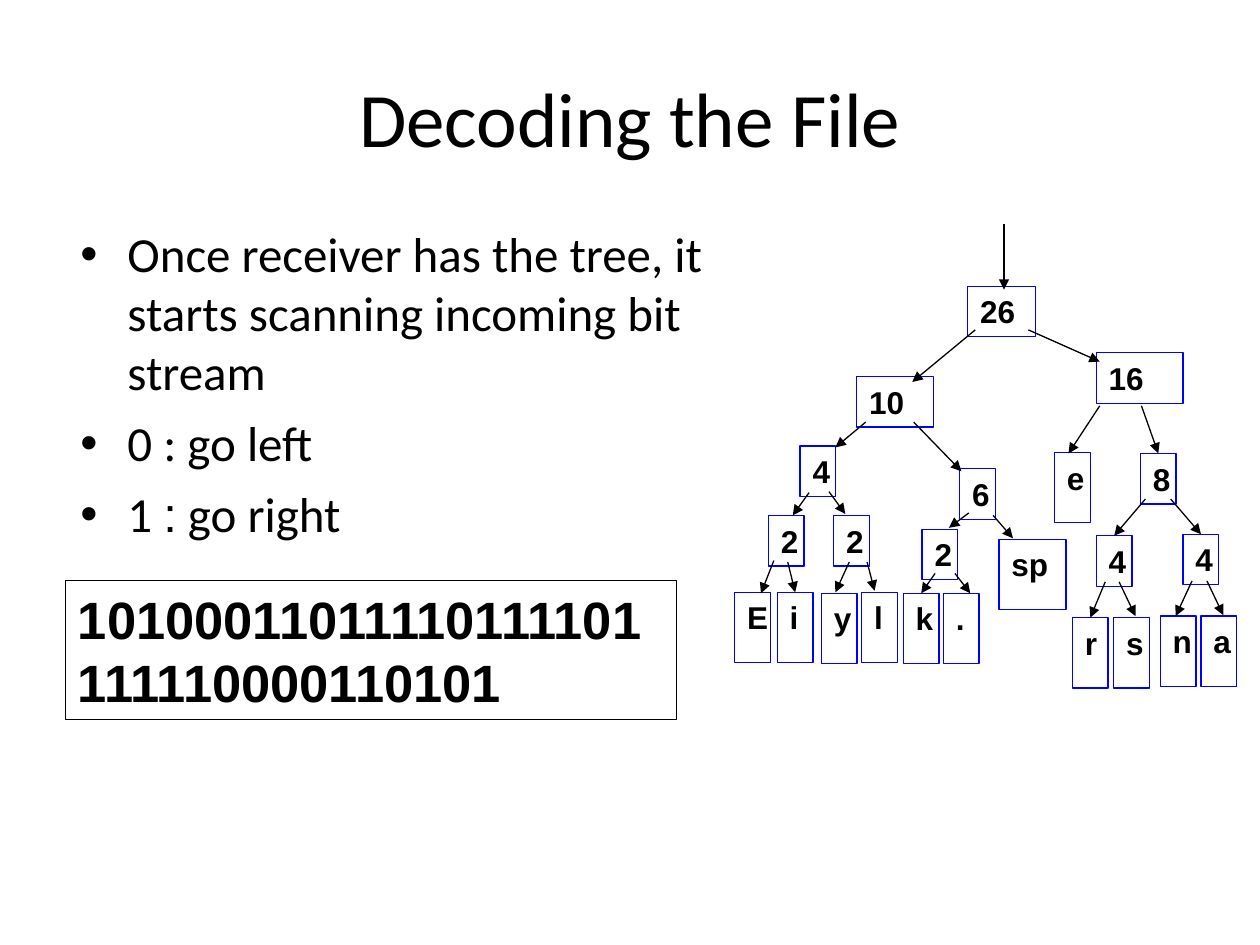
from lxml import etree
from pptx import Presentation
from pptx import util as u
from pptx.dml.color import RGBColor
from pptx.enum import shapes, text
from pptx.oxml.ns import qn

COLORS = {"ink": "000000", "node": "0000FF", "paper": "FFFFFF"}
NARROW = 0.72
INNER, LEAF = 1.02, 1.42

# label, left, top, width, height, arrow start, arrow end (None: middle of the top side)
TREE = [
    ("26", 19.51, 5.77, 1.37, INNER, (20.24, 4.52), (20.24, 5.84)),
    ("10", 17.27, 7.59, 1.55, INNER, (19.66, 6.65), (18.39, 7.7)),
    ("16", 22.1, 7.11, 1.75, INNER, (20.73, 6.65), (22.17, 7.29)),
    ("4", 16.13, 8.99, NARROW, INNER, (17.45, 8.51), (16.84, 9.02)),
    ("6", 19.35, 9.45, NARROW, INNER, (18.42, 8.51), (19.38, 9.5)),
    ("e", 21.26, 9.12, NARROW, LEAF, (22.17, 8.18), (21.54, 9.14)),
    ("8", 22.99, 9.14, NARROW, INNER, (23.01, 8.18), None),
    ("2", 15.49, 10.39, NARROW, INNER, (16.31, 9.93), (15.98, 10.39)),
    ("2", 16.81, 10.39, NARROW, INNER, (16.71, 9.91), (17.04, 10.36)),
    ("2", 18.59, 10.67, NARROW, INNER, (19.53, 10.34), (19.13, 10.64)),
    ("sp", 20.14, 10.87, 1.35, LEAF, (20.02, 10.39), (20.42, 10.85)),
    ("4", 22.1, 10.8, NARROW, INNER, (23.09, 10.06), None),
    ("4", 23.85, 10.77, NARROW, INNER, (23.6, 10.06), None),
    ("E", 14.81, 11.94, NARROW, LEAF, (15.6, 11.3), (15.34, 11.96)),
    ("i", 15.67, 11.94, NARROW, LEAF, (15.88, 11.33), None),
    ("y", 16.56, 11.96, NARROW, LEAF, (17.12, 11.33), (16.84, 11.94)),
    ("l", 17.37, 11.94, NARROW, LEAF, (17.48, 11.33), (17.63, 11.91)),
    ("k", 18.21, 11.96, NARROW, LEAF, (18.85, 11.56), None),
    (".", 19.02, 11.96, NARROW, LEAF, (19.25, 11.56), (19.56, 11.96)),
    ("r", 21.62, 12.45, NARROW, LEAF, (22.28, 11.73), None),
    ("s", 22.45, 12.45, NARROW, LEAF, (22.56, 11.73), (22.89, 12.42)),
    ("n", 23.39, 12.42, NARROW, LEAF, (24.03, 11.71), (23.7, 12.42)),
    ("a", 24.21, 12.42, NARROW, LEAF, (24.33, 11.71), (24.66, 12.4)),
]

RULES = [
    [("Once receiver has the tree, it starts scanning incoming bit stream", "Calibri")],
    [("0 : go left", "Calibri")],
    [("1 ", "Calibri"), (":", "Arial"), (" go right", "Calibri")],
]


def color(name):
    return RGBColor.from_string(COLORS[name])


def add_run(paragraph, words, size, font="Calibri", bold=False):
    run = paragraph.add_run()
    run.text = words
    run.font.name = font
    run.font.size = u.Pt(size)
    run.font.bold = bold
    run.font.color.rgb = color("ink")


def add_text_box(slide, left, top, width, height):
    box = slide.shapes.add_textbox(u.Cm(left), u.Cm(top), u.Cm(width), u.Cm(height))
    box.text_frame.word_wrap = True
    return box.text_frame


def add_title(slide, words):
    frame = add_text_box(slide, 1.27, 0.76, 22.86, 3.18)
    frame.vertical_anchor = text.MSO_ANCHOR.MIDDLE
    paragraph = frame.paragraphs[0]
    paragraph.alignment = text.PP_ALIGN.CENTER
    add_run(paragraph, words, 44)


def set_bullet(paragraph):
    """Give the paragraph a round bullet with a hanging indent."""
    properties = paragraph._p.get_or_add_pPr()
    indent = u.Cm(0.95)
    properties.set("marL", str(indent))
    properties.set("indent", str(-indent))
    etree.SubElement(properties, qn("a:buFont"), typeface="Arial")
    etree.SubElement(properties, qn("a:buChar"), char="•")


def add_rules(slide):
    frame = add_text_box(slide, 1.37, 4.39, 14.27, 6.83)
    for index, runs in enumerate(RULES):
        paragraph = frame.add_paragraph() if index else frame.paragraphs[0]
        paragraph.space_before = u.Pt(7)
        set_bullet(paragraph)
        for words, font in runs:
            add_run(paragraph, words, 28, font)


def add_box(slide, words, left, top, width, height, size, outline):
    box = slide.shapes.add_shape(shapes.MSO_SHAPE.RECTANGLE, u.Cm(left), u.Cm(top),
                                 u.Cm(width), u.Cm(height))
    box.shadow.inherit = False
    box.fill.background()
    box.line.color.rgb = color(outline)
    box.line.width = u.Pt(0.75)
    frame = box.text_frame
    frame.word_wrap = True
    frame.vertical_anchor = text.MSO_ANCHOR.TOP
    paragraph = frame.paragraphs[0]
    paragraph.alignment = text.PP_ALIGN.LEFT
    add_run(paragraph, words, size, "Arial", bold=True)
    return box


def add_arrow(slide, start, end, node):
    """Draw an arrow to end, or to the middle of the node's top side if end is None."""
    points = [u.Cm(value) for value in (*start, *(end or start))]
    arrow = slide.shapes.add_connector(shapes.MSO_CONNECTOR.STRAIGHT, *points)
    if end is None:
        arrow.end_connect(node, 0)
    arrow.line.color.rgb = color("ink")
    arrow.line.width = u.Pt(0.75)
    etree.SubElement(arrow.line._get_or_add_ln(), qn("a:tailEnd"), type="triangle")
    etree.SubElement(arrow._element.spPr, qn("a:effectLst"))


def add_tree(slide):
    for label, left, top, width, height, start, end in TREE:
        node = add_box(slide, label, left, top, width, height, 18, "node")
        add_arrow(slide, start, end, node)


def main():
    presentation = Presentation()
    presentation.slide_width, presentation.slide_height = u.Cm(25.4), u.Cm(19.05)
    slide = presentation.slides.add_slide(presentation.slide_layouts[6])
    slide.background.fill.solid()
    slide.background.fill.fore_color.rgb = color("paper")
    add_title(slide, "Decoding the File")
    add_rules(slide)
    add_tree(slide)
    add_box(slide, "10100011011110111101111110000110101",
            1.32, 11.71, 12.32, 2.79, 30, "ink")
    presentation.save("out.pptx")


if __name__ == "__main__":
    main()
